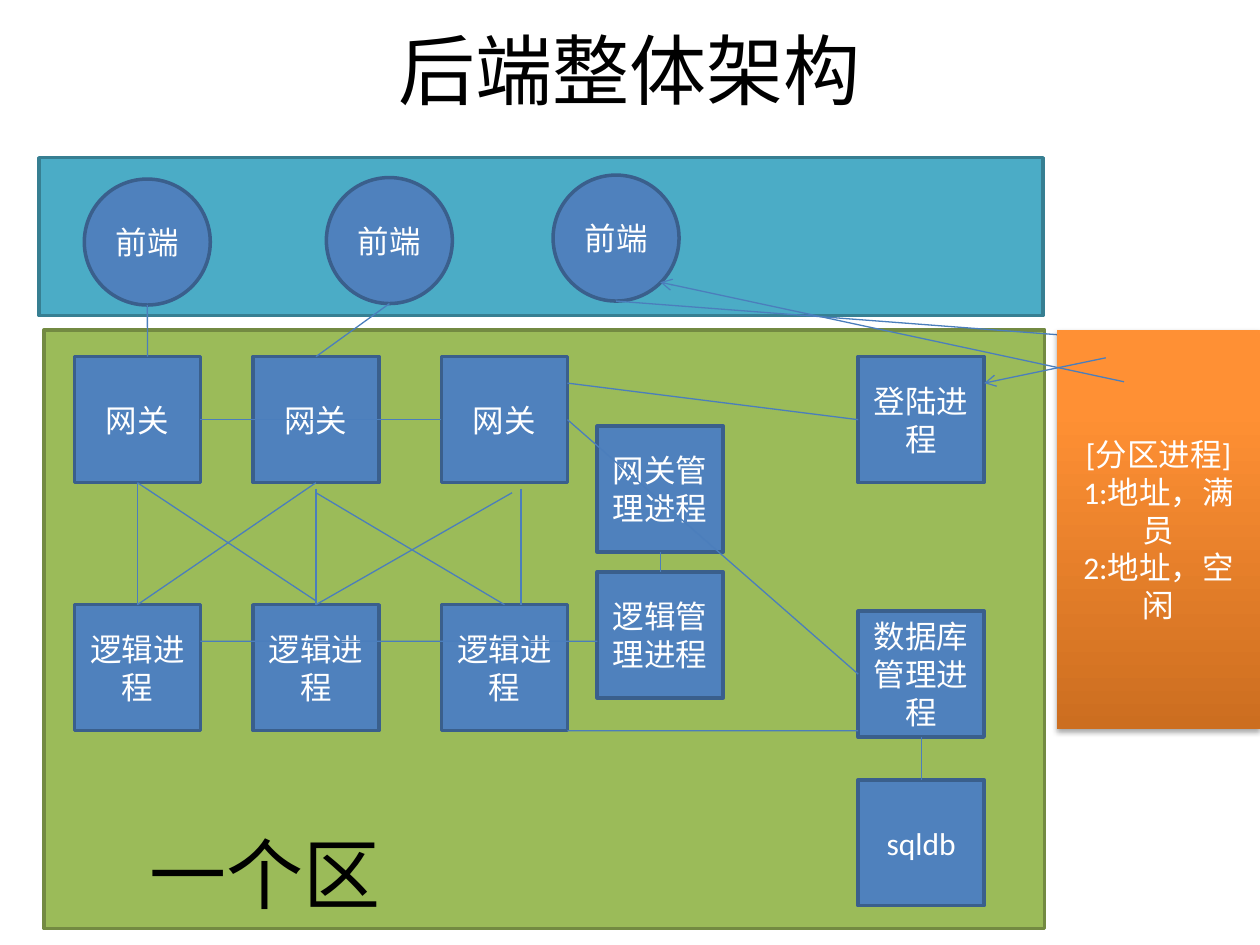
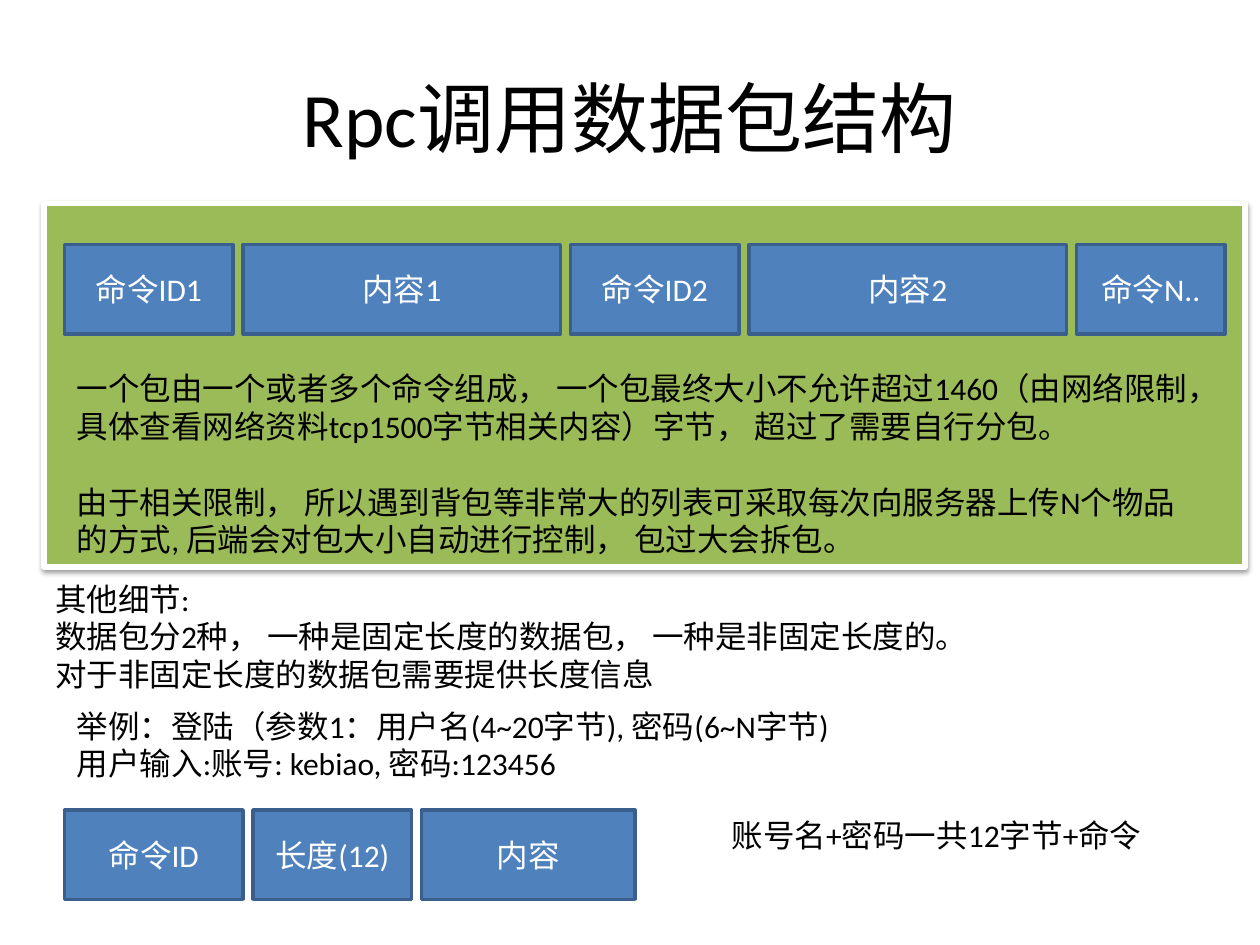
from copy import deepcopy

from lxml.etree import SubElement
from pptx import Presentation
from pptx.dml.color import RGBColor
from pptx.enum.shapes import MSO_CONNECTOR as Line, MSO_SHAPE as Shape
from pptx.enum.text import MSO_ANCHOR as Anchor, PP_ALIGN as Align
from pptx.oxml.ns import qn
from pptx.util import Cm, Pt

# Shared look
BLUE, BLUE_EDGE = RGBColor(0x4F, 0x81, 0xBD), RGBColor(0x3A, 0x5F, 0x8C)
GREEN, GREEN_EDGE = RGBColor(0x9B, 0xBB, 0x59), RGBColor(0x73, 0x8A, 0x42)
TEAL, TEAL_EDGE = RGBColor(0x4B, 0xAC, 0xC6), RGBColor(0x37, 0x7F, 0x92)
LINK = RGBColor(0x4B, 0x7E, 0xBC)
WHITE, BLACK = RGBColor(0xFF, 0xFF, 0xFF), RGBColor(0, 0, 0)
ORANGES = [(0, RGBColor(0xCC, 0x6E, 0x20)), (0.8, RGBColor(0xFF, 0x90, 0x34)),
           (1, RGBColor(0xFF, 0x91, 0x36))]
FONT, CJK_FONT = "Calibri", "Noto Sans CJK JP"

# Slide 1 content: places in cm, every node is one square unit
ARCHITECTURE_TITLE = "后端整体架构"
CLIENT_BAND = (0.79, 3.18, 20.24, 3.18)
ZONE = (0.89, 6.65, 20.17, 12.07)
ZONE_NAME, ZONE_NAME_AT = "一个区", (2.77, 16.54, 7.39, 2.13)
PARTITION = (21.31, 6.65, 4.09, 8.05)
PARTITION_LINES = ["[分区进程]", "1:地址，满员", "2:地址，空闲"]
NODE = 2.54
COLUMNS = (1.5, 5.1, 8.9)
GATE_TOP, LOGIC_TOP = 7.19, 12.19
MANAGER_LEFT, SERVICE_LEFT = 12.04, 17.3
CLIENTS = {"client1": ("前端", 1.7, 3.61), "client2": ("前端", 6.58, 3.58),
           "client3": ("前端", 11.15, 3.53)}
PROCESSES = {
    **{f"gate{i}": ("网关", x, GATE_TOP) for i, x in enumerate(COLUMNS, 1)},
    "login": ("登陆进程", SERVICE_LEFT, GATE_TOP),
    **{f"logic{i}": ("逻辑进程", x, LOGIC_TOP) for i, x in enumerate(COLUMNS, 1)},
    "store": ("sqldb", SERVICE_LEFT, 15.72),
    "db_manager": ("数据库管理进程", SERVICE_LEFT, 12.32),
    "gate_manager": ("网关管理进程", MANAGER_LEFT, 8.59),
    "logic_manager": ("逻辑管理进程", MANAGER_LEFT, 11.53),
}
# Link ends: part, then share of its width and height
TOP, LEFT, BOTTOM, RIGHT = (0.5, 0), (0, 0.5), (0.5, 1), (1, 0.5)
SITES = [TOP, LEFT, BOTTOM, RIGHT]
LINKS_BEHIND = [
    ("client1", BOTTOM, "gate1", (0.58, 0)),
    ("client2", BOTTOM, "gate2", TOP),
    ("client3", BOTTOM, "partition", (0.98, 0.05)),
    ("login", LEFT, "gate3", (1, 0.21)),
    ("gate1", BOTTOM, "logic1", TOP),
    ("gate2", (0.5, 1.05), "logic2", TOP),
    ("gate3", (0.63, 1.05), "logic3", (0.63, 0)),
    ("gate1", RIGHT, "gate3", LEFT),
    ("logic1", (1, 0.29), "logic_manager", (0, 0.55)),
    ("db_manager", BOTTOM, "store", TOP),
    ("gate_manager", BOTTOM, "logic_manager", TOP),
]
ARROWS = [
    ("partition", (0.24, 0.07), "login", (1, 0.21)),
    ("partition", (0.33, 0.13), "client3", (0.85, 0.85)),
]
LINKS_FRONT = [
    ("logic3", (1, 1), "db_manager", (0, 0.95)),
    ("gate3", RIGHT, "db_manager", LEFT),
    ("gate2", BOTTOM, "logic1", TOP),
    ("gate1", BOTTOM, "logic2", (0.5, -0.03)),
    ("gate3", (0.56, 1.08), "logic2", TOP),
    ("gate2", (0.5, 1.08), "logic3", TOP),
]

# Slide 2 content
PACKET_TITLE = "Rpc调用数据包结构"
PACKET_PANEL = (0.89, 4.11, 24.21, 7.32)
FIELD_LEFT, FIELD_HEIGHT, FIELD_GAP = 1.3, 1.8, 0.2
FIELD_ROWS = [  # top, then fields with their widths
    (4.93, [("命令ID1", 3.4), ("内容1", 6.4), ("命令ID2", 3.4),
            ("内容2", 6.4), ("命令N..", 3.0)]),
    (16.33, [("命令ID", 3.6), ("长度(12)", 3.2), ("内容", 4.3)]),
]
NOTES = [  # place, space between paragraphs, paragraphs
    ((1.3, 7.32, 23.01, 4.11), 21.6, [
        "一个包由一个或者多个命令组成， 一个包最终大小不允许超过1460（由网络限制，"
        "具体查看网络资料tcp1500字节相关内容）字节， 超过了需要自行分包。",
        "由于相关限制， 所以遇到背包等非常大的列表可采取每次向服务器上传N个物品的方式, "
        "后端会对包大小自动进行控制， 包过大会拆包。"]),
    ((0.86, 11.56, 24.5, 2.57), 0, [
        "其他细节:",
        "数据包分2种， 一种是固定长度的数据包， 一种是非固定长度的。",
        "对于非固定长度的数据包需要提供长度信息"]),
    ((1.3, 14.12, 17.6, 1.8), 0, [
        "举例：登陆（参数1：用户名(4~20字节), 密码(6~N字节)",
        "用户输入:账号: kebiao, 密码:123456"]),
    ((14.5, 16.33, 9.6, 1.02), 0, ["账号名+密码一共12字节+命令"]),
]


def write(shape, lines, size=18, color=BLACK, font=FONT, align=Align.LEFT,
          anchor=Anchor.TOP, gap=0):
    frame = shape.text_frame
    frame.word_wrap, frame.vertical_anchor = True, anchor
    for i, line in enumerate(lines):
        paragraph = frame.add_paragraph() if i else frame.paragraphs[0]
        paragraph.alignment = align
        paragraph.space_before = Pt(gap if i else 0)
        run = paragraph.add_run()
        run.text = line
        run.font.size, run.font.name, run.font.color.rgb = Pt(size), font, color


def titled_slide(title, top):
    slide = deck.slides.add_slide(deck.slide_layouts[5])
    heading = slide.shapes.title
    heading.left, heading.top, heading.width, heading.height = map(
        Cm, (1.27, top, 22.86, 3.18))
    write(heading, [title], size=44, align=Align.CENTER, anchor=Anchor.MIDDLE)
    return slide


def block(slide, place, fill=BLUE, edge=BLUE_EDGE, edge_width=2, lines=(),
          kind=Shape.RECTANGLE):
    shape = slide.shapes.add_shape(kind, *map(Cm, place))
    shape.shadow.inherit = False
    if fill:
        shape.fill.solid()
        shape.fill.fore_color.rgb = fill
    if edge:
        shape.line.color.rgb, shape.line.width = edge, Pt(edge_width)
    else:
        shape.line.fill.background()
    write(shape, lines, color=WHITE, align=Align.CENTER, anchor=Anchor.MIDDLE)
    return shape


def note(slide, place, lines, **look):
    write(slide.shapes.add_textbox(*map(Cm, place)), lines, **look)


def drop_shadow(shape, alpha, blur, distance):
    effects = shape._element.spPr.find(qn("a:effectLst"))
    shadow = SubElement(effects, qn("a:outerShdw"), blurRad=str(Pt(blur)),
                        dist=str(Pt(distance)), dir="5400000", rotWithShape="0")
    black = SubElement(shadow, qn("a:srgbClr"), val="000000")
    SubElement(black, qn("a:alpha"), val=str(alpha * 1000))


def shade(shape, stops, angle):
    shape.fill.gradient()
    shape.fill.gradient_angle = angle
    stop_list = shape._element.spPr.find(qn("a:gradFill")).find(qn("a:gsLst"))
    while len(stop_list) < len(stops):
        stop_list.append(deepcopy(stop_list[0]))
    for stop, (position, color) in zip(shape.fill.gradient_stops, stops):
        stop.position, stop.color.rgb = position, color


def link(slide, start, start_spot, end, end_spot, arrow=False):
    ends = []
    for part, (across, down) in ((start, start_spot), (end, end_spot)):
        x, y, width, height = places[part]
        ends += [Cm(x + across * width), Cm(y + down * height)]
    line = slide.shapes.add_connector(Line.STRAIGHT, *ends)
    line.line.color.rgb, line.line.width = LINK, Pt(0.75)
    if start in processes and start_spot in SITES:
        line.begin_connect(processes[start], SITES.index(start_spot))
    if end in processes and end_spot in SITES:
        line.end_connect(processes[end], SITES.index(end_spot))
    if arrow:
        SubElement(line.line._get_or_add_ln(), qn("a:tailEnd"), type="arrow")
    SubElement(line._element.spPr, qn("a:effectLst"))


deck = Presentation()
deck.slide_width, deck.slide_height = Cm(25.4), Cm(19.05)

# Slide 1: architecture
architecture = titled_slide(ARCHITECTURE_TITLE, -0.2)
block(architecture, CLIENT_BAND, TEAL, TEAL_EDGE)
block(architecture, ZONE, GREEN, GREEN_EDGE)

places = {name: (x, y, NODE, NODE)
          for name, (_, x, y) in {**PROCESSES, **CLIENTS}.items()}
places["partition"] = PARTITION
processes = {name: block(architecture, places[name], lines=[label])
             for name, (label, _, _) in PROCESSES.items()}
for name, (label, _, _) in CLIENTS.items():
    block(architecture, places[name], lines=[label], kind=Shape.OVAL)

for ends in LINKS_BEHIND:
    link(architecture, *ends)
partition = block(architecture, PARTITION, None, None, lines=PARTITION_LINES)
shade(partition, ORANGES, 90)
drop_shadow(partition, 35, 3.1, 1.8)
for ends in ARROWS:
    link(architecture, *ends, arrow=True)
for ends in LINKS_FRONT:
    link(architecture, *ends)
note(architecture, ZONE_NAME_AT, [ZONE_NAME], size=44, font=CJK_FONT)

# Slide 2: packet layout
packet = titled_slide(PACKET_TITLE, 0.76)
panel = block(packet, PACKET_PANEL, GREEN, WHITE, 3)
drop_shadow(panel, 38, 3.1, 1.6)
for top, fields in FIELD_ROWS:
    left = FIELD_LEFT
    for label, width in fields:
        block(packet, (left, top, width, FIELD_HEIGHT), lines=[label])
        left += width + FIELD_GAP
for place, gap, lines in NOTES:
    note(packet, place, lines, gap=gap)

deck.save("out.pptx")
